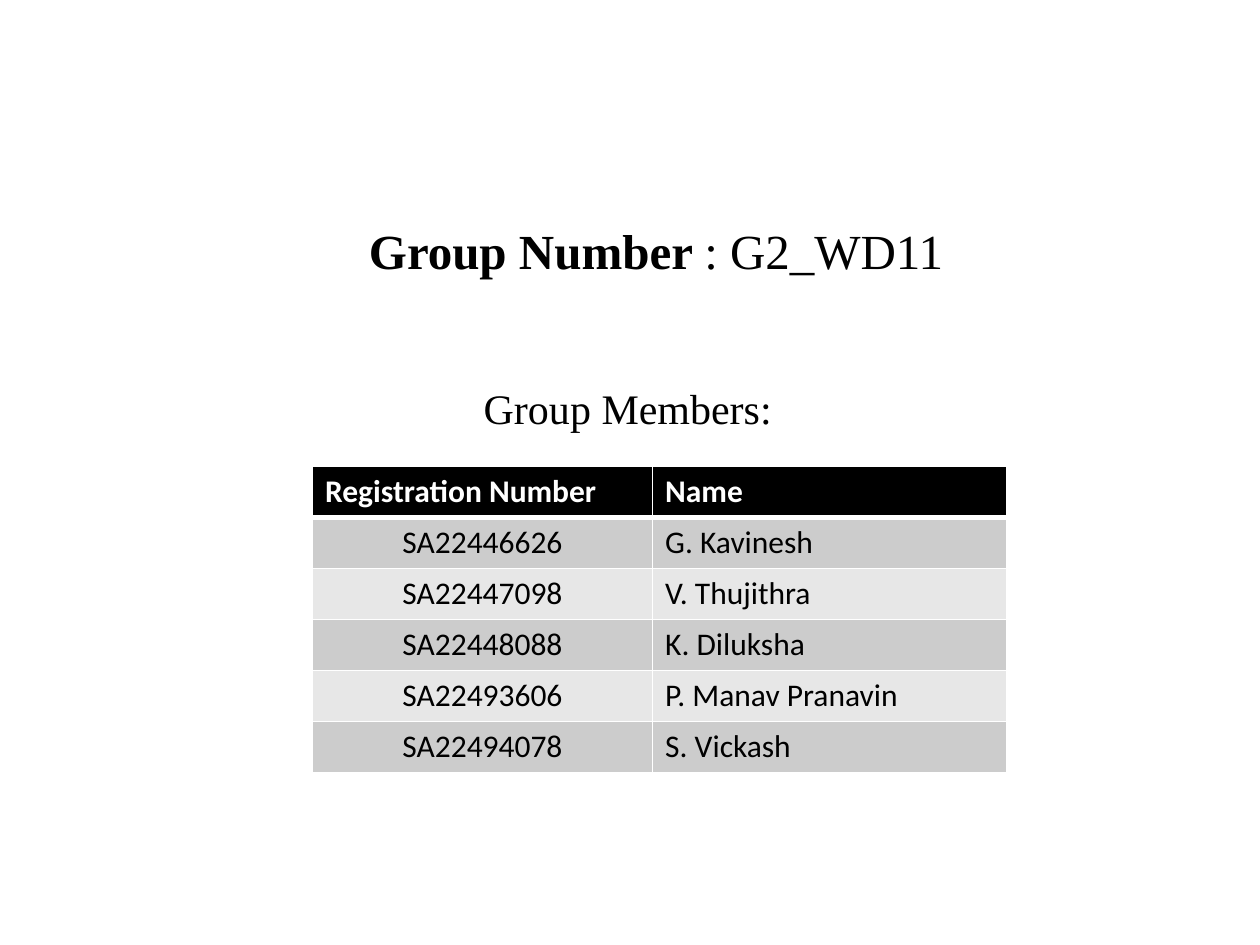
from dataclasses import dataclass

from lxml.etree import fromstring
from pptx import Presentation
from pptx.dml.color import RGBColor
from pptx.enum.text import PP_ALIGN
from pptx.oxml.ns import nsdecls
from pptx.util import Inches, Pt


@dataclass(frozen=True)
class Theme:
    ink: str = "000000"
    paper: str = "FFFFFF"
    bands: tuple = ("CCCCCC", "E7E7E7")
    heading_font: str = "Times New Roman"
    table_font: str = "Calibri"
    title_size: int = 28
    subtitle_size: int = 24
    table_size: int = 18
    rule: int = 1
    header_rule: int = 3


THEME = Theme()
HEADER = ("Registration Number", "Name")
MEMBERS = (
    ("SA22446626", "G. Kavinesh"),
    ("SA22447098", "V. Thujithra"),
    ("SA22448088", "K. Diluksha"),
    ("SA22493606", "P. Manav Pranavin"),
    ("SA22494078", "S. Vickash"),
)


def add_run(p, text, font, size, color, bold=False):
    r = p.add_run()
    r.text = text
    r.font.name = font
    r.font.size = Pt(size)
    r.font.bold = bold
    r.font.color.rgb = RGBColor.from_string(color)


def add_heading(slide, box, size, runs):
    """Place one line of (text, bold) runs in the box."""
    tf = slide.shapes.add_textbox(*map(Inches, box)).text_frame
    tf.word_wrap = True
    for text, bold in runs:
        add_run(tf.paragraphs[0], text, THEME.heading_font, size, THEME.ink, bold)


def set_borders(cell, top, bottom):
    """Draw all four sides; top and bottom are widths in points."""
    widths = {"lnL": THEME.rule, "lnR": THEME.rule, "lnT": top, "lnB": bottom}
    tcPr = cell._tc.get_or_add_tcPr()
    for i, (side, width) in enumerate(widths.items()):
        tcPr.insert(i, fromstring(
            f'<a:{side} {nsdecls("a")} w="{Pt(width)}"><a:solidFill>'
            f'<a:srgbClr val="{THEME.paper}"/></a:solidFill></a:{side}>'))


def add_member_table(slide, box, shares):
    """Fill the box with equal rows; shares are the column parts of its width."""
    rows = (HEADER, *MEMBERS)
    x, y, w, h = map(Inches, box)
    table = slide.shapes.add_table(len(rows), len(HEADER), x, y, w, h).table
    for column, share in zip(table.columns, shares):
        column.width = int(w * share)
    for i, row in enumerate(rows):
        table.rows[i].height = h // len(rows)
        is_header = i == 0
        fill = THEME.ink if is_header else THEME.bands[(i - 1) % 2]
        color = THEME.paper if is_header else THEME.ink
        for j, text in enumerate(row):
            cell = table.cell(i, j)
            cell.fill.solid()
            cell.fill.fore_color.rgb = RGBColor.from_string(fill)
            set_borders(cell,
                        top=THEME.header_rule if i == 1 else THEME.rule,
                        bottom=THEME.header_rule if is_header else THEME.rule)
            p = cell.text_frame.paragraphs[0]
            if j == 0 and not is_header:
                p.alignment = PP_ALIGN.CENTER
            add_run(p, text, THEME.table_font, THEME.table_size, color, is_header)


def main():
    prs = Presentation()
    prs.slide_width, prs.slide_height = Inches(10), Inches(7.5)
    slide = prs.slides.add_slide(prs.slide_layouts[6])
    add_member_table(slide, (2.48, 3.7, 5.51, 2.43), (0.49, 0.51))
    add_heading(slide, (2.83, 1.7, 4.81, 0.57), THEME.title_size,
                [("Group Number ", True), (": G2_WD11", False)])
    add_heading(slide, (3.74, 2.99, 2.68, 0.5), THEME.subtitle_size,
                [("Group Members:", False)])
    prs.save("out.pptx")


if __name__ == "__main__":
    main()
